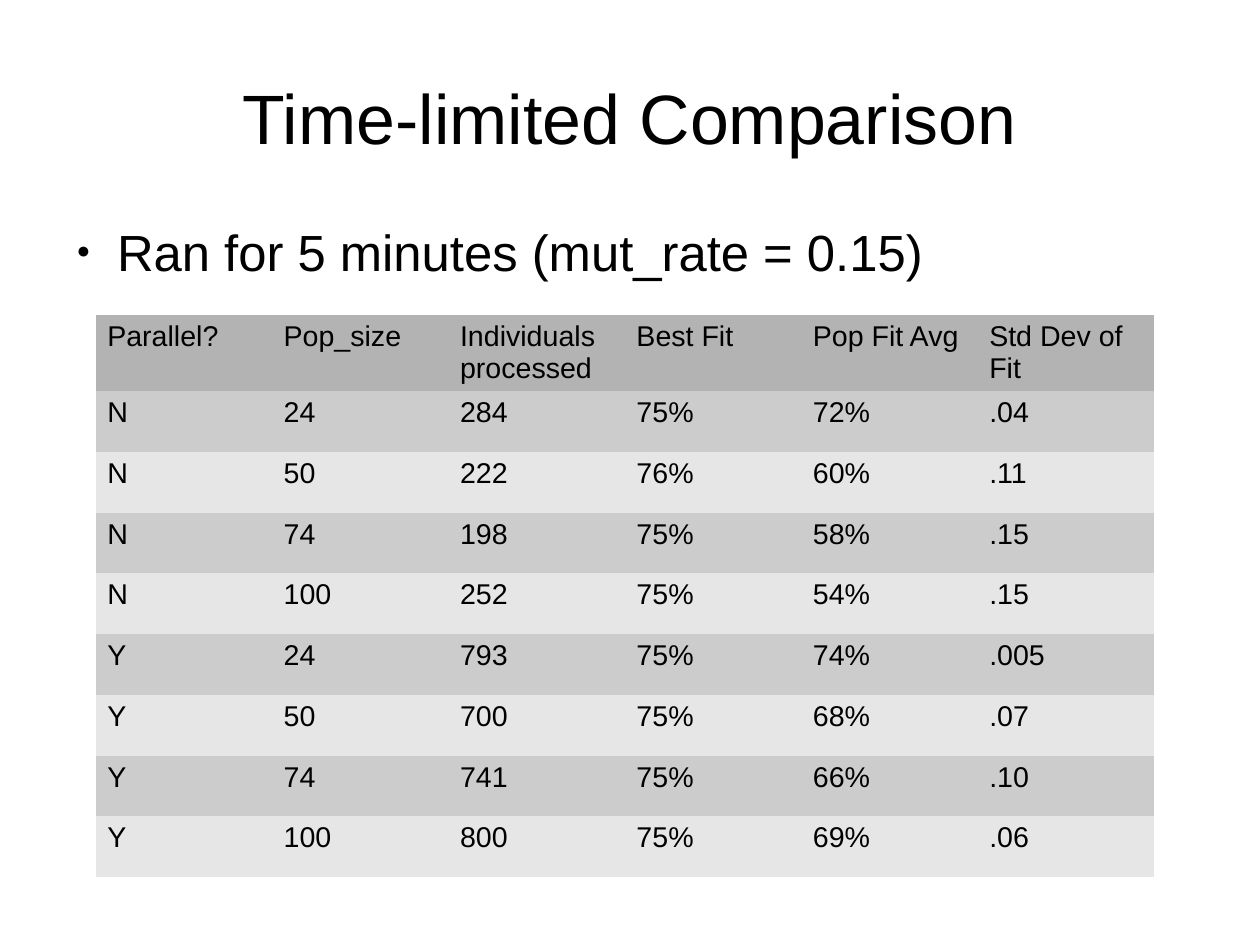
from dataclasses import astuple, dataclass

from lxml.etree import SubElement
from pptx import Presentation
from pptx.dml.color import RGBColor
from pptx.enum.text import MSO_ANCHOR as Anchor, MSO_AUTO_SIZE as AutoSize, PP_ALIGN as Align
from pptx.oxml.ns import qn
from pptx.util import Cm, Pt

COLORS = {"text": "000000", "header": "B3B3B3", "odd": "CCCCCC", "even": "E6E6E6"}
FONT = "Arial"
PLAIN_TABLE_STYLE = "{2D5ABB26-0587-4C30-8999-92F81FD0307C}"
COLUMN_WIDTH, HEADER_HEIGHT, ROW_HEIGHT = Cm(3.92), Cm(1.69), Cm(1.35)


@dataclass(frozen=True)
class Trial:
    parallel: str
    pop_size: str
    processed: str
    best_fit: str
    average_fit: str
    deviation: str


HEADINGS = Trial("Parallel?", "Pop_size", "Individuals processed",
                 "Best Fit", "Pop Fit Avg", "Std Dev of Fit")
TRIALS = [
    Trial("N", "24", "284", "75%", "72%", ".04"),
    Trial("N", "50", "222", "76%", "60%", ".11"),
    Trial("N", "74", "198", "75%", "58%", ".15"),
    Trial("N", "100", "252", "75%", "54%", ".15"),
    Trial("Y", "24", "793", "75%", "74%", ".005"),
    Trial("Y", "50", "700", "75%", "68%", ".07"),
    Trial("Y", "74", "741", "75%", "66%", ".10"),
    Trial("Y", "100", "800", "75%", "69%", ".06"),
]


def write(frame, text: str, size: int):
    """Put one styled paragraph in a text frame and return it."""
    frame.text = text
    paragraph = frame.paragraphs[0]
    paragraph.font.name = FONT
    paragraph.font.size = Pt(size)
    paragraph.font.color.rgb = RGBColor.from_string(COLORS["text"])
    return paragraph


def fill_placeholder(holder, box: tuple, text: str, size: int, anchor):
    """Place a placeholder without margins and write its text."""
    holder.left, holder.top, holder.width, holder.height = (Cm(n) for n in box)
    frame = holder.text_frame
    frame.margin_left = frame.margin_top = frame.margin_right = frame.margin_bottom = 0
    frame.word_wrap = True
    frame.auto_size = AutoSize.NONE
    frame.vertical_anchor = anchor
    return write(frame, text, size)


def add_bullet(paragraph) -> None:
    """Give a paragraph a small round bullet and a hanging indent."""
    paragraph.space_before, paragraph.space_after = Pt(0), Pt(14.2)
    props = paragraph._p.get_or_add_pPr()
    props.set("marL", str(Cm(1.2)))
    props.set("indent", str(Cm(-0.9)))
    color = SubElement(props, qn("a:buClr"))
    SubElement(color, qn("a:srgbClr"), val=COLORS["text"])
    SubElement(props, qn("a:buSzPct"), val="45000")
    SubElement(props, qn("a:buFont"), typeface=FONT)
    SubElement(props, qn("a:buChar"), char="●")


def add_results(slide, rows: list[Trial]) -> None:
    """Draw the results with a header row and alternating greys."""
    column_count = len(astuple(HEADINGS))
    holder = slide.shapes.add_table(
        len(rows), column_count, Cm(2.13), Cm(7), COLUMN_WIDTH * column_count,
        HEADER_HEIGHT + ROW_HEIGHT * (len(rows) - 1))
    results = holder.table
    results.first_row = results.horz_banding = False
    for style in holder.element.iter(qn("a:tableStyleId")):
        style.text = PLAIN_TABLE_STYLE
    for column in results.columns:
        column.width = COLUMN_WIDTH
    for index, trial in enumerate(rows):
        results.rows[index].height = ROW_HEIGHT if index else HEADER_HEIGHT
        shade = ("odd" if index % 2 else "even") if index else "header"
        for cell, value in zip(results.rows[index].cells, astuple(trial)):
            cell.fill.solid()
            cell.fill.fore_color.rgb = RGBColor.from_string(COLORS[shade])
            write(cell.text_frame, value, 18)


def main() -> None:
    deck = Presentation()
    deck.slide_width, deck.slide_height = Cm(28), Cm(21)
    slide = deck.slides.add_slide(deck.slide_layouts[1])

    # Title
    title = fill_placeholder(slide.shapes.title, (1.4, 0.84, 25.2, 3.5),
                             "Time-limited Comparison", 44, Anchor.MIDDLE)
    title.alignment = Align.CENTER

    # Run conditions
    conditions = fill_placeholder(slide.placeholders[1], (1.4, 4.9, 24.64, 1.96),
                                  "Ran for 5 minutes (mut_rate = 0.15)", 32, Anchor.TOP)
    add_bullet(conditions)

    # Results table
    add_results(slide, [HEADINGS, *TRIALS])
    deck.save("out.pptx")


if __name__ == "__main__":
    main()
